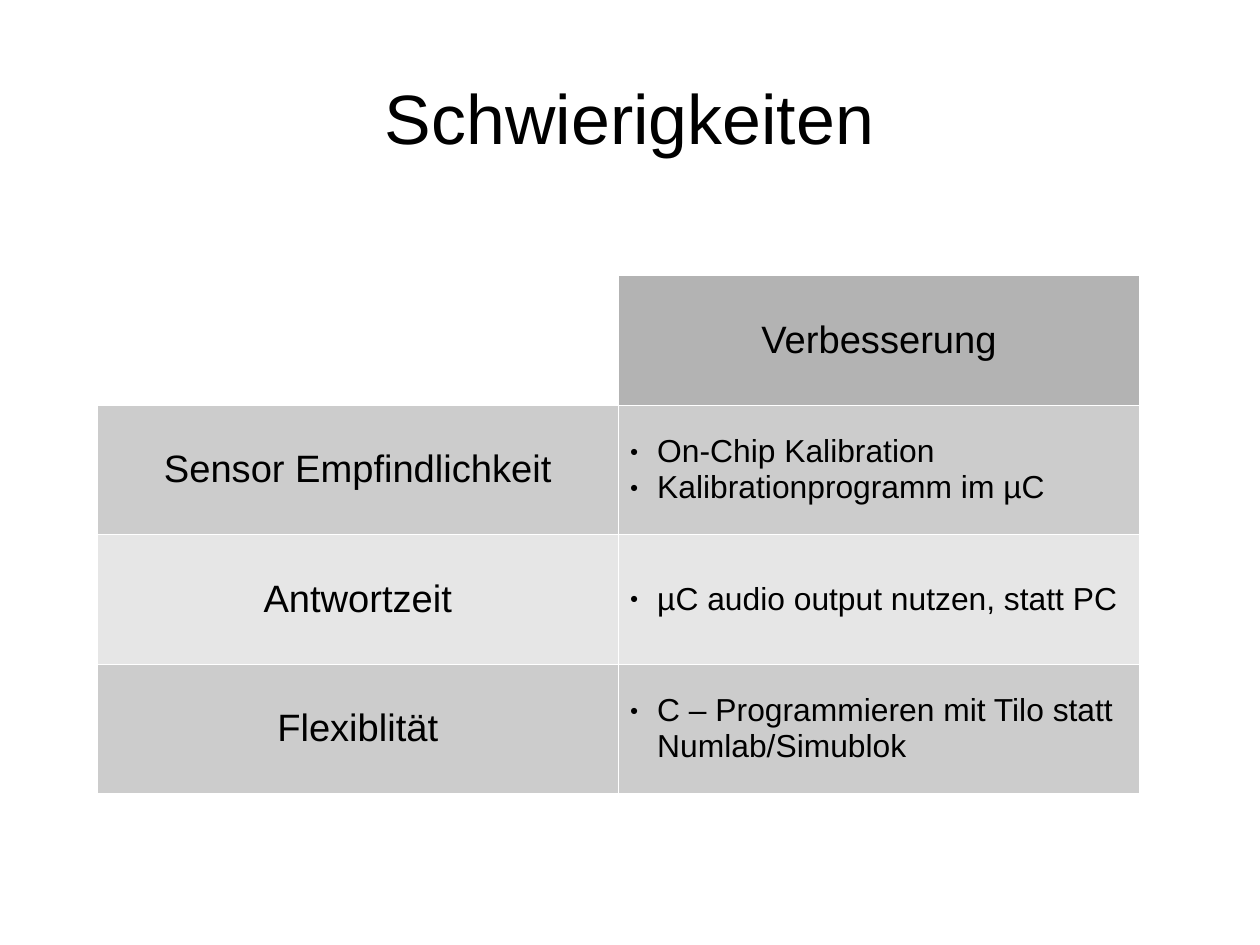
from lxml.etree import SubElement
from pptx import Presentation
from pptx.dml.color import RGBColor
from pptx.enum.text import MSO_ANCHOR, PP_ALIGN
from pptx.oxml import parse_xml
from pptx.oxml.ns import nsdecls, qn
from pptx.util import Inches, Pt

COLORS = {
    "text": "000000",
    "line": "FFFFFF",
    "blank": "FFFFFF",
    "head": "B3B3B3",
    "dark": "CCCCCC",
    "light": "E6E6E6",
}
HEAD = "Verbesserung"
ROWS = [
    ("Sensor Empfindlichkeit", ["On-Chip Kalibration", "Kalibrationprogramm im µC"]),
    ("Antwortzeit", ["µC audio output nutzen, statt PC"]),
    ("Flexiblität", ["C – Programmieren mit Tilo statt Numlab/Simublok"]),
]


def style(par, size):
    for run in par.runs:
        run.font.size = Pt(size)
        run.font.name = "Arial"
        run.font.color.rgb = RGBColor.from_string(COLORS["text"])


def add_title(slide, text):
    box = slide.shapes.add_textbox(Inches(0.55), Inches(0.33), Inches(9.92), Inches(1.38))
    frame = box.text_frame
    frame.word_wrap = True
    frame.vertical_anchor = MSO_ANCHOR.MIDDLE
    frame.margin_left = frame.margin_right = 0
    frame.margin_top = frame.margin_bottom = 0
    frame.text = text
    par = frame.paragraphs[0]
    par.alignment = PP_ALIGN.CENTER
    style(par, 44)


def add_bullet(par):
    props = par._p.get_or_add_pPr()
    indent = Inches(0.24)
    props.set("marL", str(indent))
    props.set("indent", str(-indent))
    color = SubElement(props, qn("a:buClr"))
    SubElement(color, qn("a:srgbClr"), val=COLORS["text"])
    SubElement(props, qn("a:buSzPct"), val="45000")
    SubElement(props, qn("a:buFont"), typeface="Arial")
    SubElement(props, qn("a:buChar"), char="●")


def paint(cell, fill):
    cell.fill.solid()
    cell.fill.fore_color.rgb = RGBColor.from_string(COLORS[fill])
    cell.vertical_anchor = MSO_ANCHOR.MIDDLE
    # Borders come before the fill in the cell properties
    props = cell._tc.get_or_add_tcPr()
    for spot, side in enumerate("LRTB"):
        props.insert(spot, parse_xml(
            f'<a:ln{side} {nsdecls("a")} w="{Pt(0.06)}"><a:solidFill>'
            f'<a:srgbClr val="{COLORS["line"]}"/></a:solidFill></a:ln{side}>'))


def fill_label(cell, text, fill):
    paint(cell, fill)
    cell.text_frame.text = text
    par = cell.text_frame.paragraphs[0]
    par.alignment = PP_ALIGN.CENTER
    style(par, 24)


def fill_list(cell, items, fill):
    paint(cell, fill)
    cell.text_frame.text = "\n".join(items)
    for par in cell.text_frame.paragraphs:
        add_bullet(par)
        style(par, 20)


def add_grid(slide):
    frame = slide.shapes.add_table(
        len(ROWS) + 1, 2, Inches(0.85), Inches(2.41), Inches(9.12), Inches(4.53))
    table = frame.table
    table.first_row = False
    table.horz_banding = False

    # Header row
    paint(table.cell(0, 0), "blank")
    fill_label(table.cell(0, 1), HEAD, "head")

    # Body rows in alternating greys
    for row, (label, items) in enumerate(ROWS, 1):
        fill = "dark" if row % 2 else "light"
        fill_label(table.cell(row, 0), label, fill)
        fill_list(table.cell(row, 1), items, fill)


def main():
    deck = Presentation()
    # The page measures 28 by 21 cm
    deck.slide_width = Inches(28 / 2.54)
    deck.slide_height = Inches(21 / 2.54)
    slide = deck.slides.add_slide(deck.slide_layouts[6])
    add_title(slide, "Schwierigkeiten")
    add_grid(slide)
    deck.save("out.pptx")


if __name__ == "__main__":
    main()
